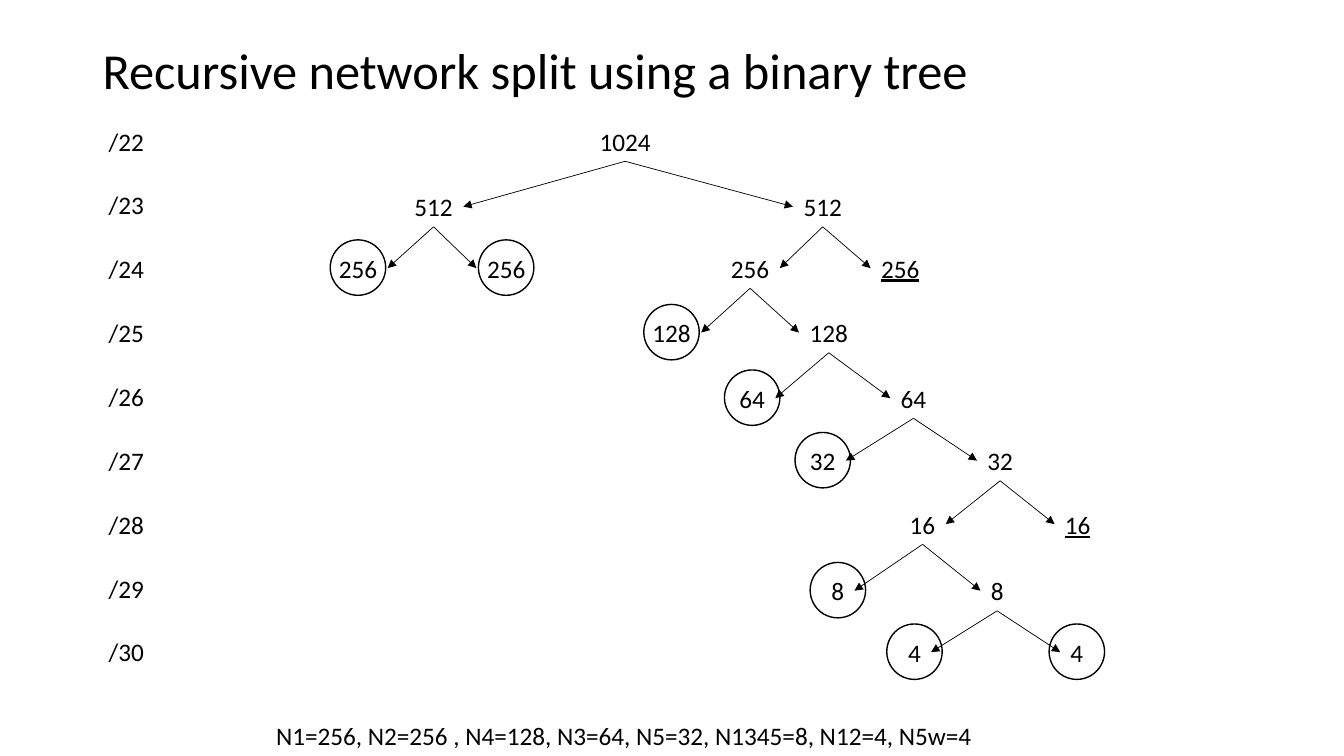
import pptx
import pptx.util
import pptx.dml.color
import pptx.enum.shapes
import pptx.enum.text
from lxml import etree
from pptx.oxml.ns import qn

Inches, Pt = pptx.util.Inches, pptx.util.Pt
COLORS = {"ink": "000000", "paper": "FFFFFF"}
FONT = "Calibri"
ROW_TOPS = [0, 0.65, 1.26, 1.9, 2.55, 3.17, 3.8, 4.46, 5.07]
LABEL_H, CIRCLE = 0.4, 0.55

# Each node: hosts, centre x within the tree box, mark, children
TREE = ("1024", 3.0, "", [
    ("512", 1.1, "", [("256", 0.35, "circle", []), ("256", 1.82, "circle", [])]),
    ("512", 4.96, "", [
        ("256", 4.24, "", [
            ("128", 3.46, "circle", []),
            ("128", 5.02, "", [
                ("64", 4.26, "circle", []),
                ("64", 5.86, "", [
                    ("32", 4.96, "circle", []),
                    ("32", 6.72, "", [
                        ("16", 5.95, "", [
                            ("8", 5.11, "circle", []),
                            ("8", 6.69, "", [
                                ("4", 5.87, "circle", []),
                                ("4", 7.48, "circle", [])])]),
                        ("16", 7.49, "underline", [])])])])]),
        ("256", 5.73, "underline", [])])])


def rgb(name):
    return pptx.dml.color.RGBColor.from_string(COLORS[name])


def add_text(shapes, box, lines, size=18, wrap=False):
    sp = shapes.add_textbox(*[Inches(v) for v in box])
    tf = sp.text_frame
    tf.word_wrap = wrap
    tf.text = "\n".join(lines)
    for p in tf.paragraphs:
        p.font.size, p.font.name = Pt(size), FONT
        p.font.color.rgb = rgb("ink")
    return sp


def add_title(s, box, text):
    tf = add_text(s.shapes, box, [text], 36, True).text_frame
    tf.vertical_anchor = pptx.enum.text.MSO_ANCHOR.MIDDLE
    tf.paragraphs[0].line_spacing = 0.9


def add_prefixes(s, box):
    sp = add_text(s.shapes, box, [f"/{n}" for n in range(22, 31)])
    for p in sp.text_frame.paragraphs:
        p.space_after = Pt(24)


def add_arrow(s, parent, child, side):
    c = s.shapes.add_connector(pptx.enum.shapes.MSO_CONNECTOR.STRAIGHT, 0, 0, 0, 0)
    c.begin_connect(parent, 2)
    c.end_connect(child, side)
    c.line.color.rgb = rgb("ink")
    c.line.width = Pt(0.5)
    etree.SubElement(c.line._get_or_add_ln(), qn("a:tailEnd"), type="triangle")
    etree.SubElement(c._element.spPr, qn("a:effectLst"))


def add_circle(shapes, cx, top):
    sp = shapes.add_shape(pptx.enum.shapes.MSO_SHAPE.OVAL, Inches(cx - CIRCLE / 2),
                          Inches(top), Inches(CIRCLE), Inches(CIRCLE))
    sp.shadow.inherit = False
    sp.fill.background()
    sp.line.color.rgb = rgb("ink")
    sp.line.width = Pt(1)


def add_node(s, box, node, depth=0):
    """Draw a node and everything below it; return its label."""
    hosts, x, mark, children = node
    left, top = box
    cx, y = left + x, top + ROW_TOPS[depth]
    width = 0.2 + 0.13 * len(hosts)
    shapes = s.shapes.add_group_shape().shapes if mark == "circle" else s.shapes
    label = add_text(shapes, (cx - width / 2, y, width, LABEL_H), [hosts])
    p = label.text_frame.paragraphs[0]
    p.alignment = pptx.enum.text.PP_ALIGN.CENTER
    if mark == "underline":
        p.runs[0].font.underline = True
    if mark == "circle":
        add_circle(shapes, cx, y - 0.08)
    # The left child is met on its right side, the right child on its left
    for child, side in zip(children, (3, 1)):
        add_arrow(s, label, add_node(s, box, child, depth + 1), side)
    return label


def main():
    prs = pptx.Presentation()
    prs.slide_width, prs.slide_height = Inches(13.33), Inches(7.5)
    s = prs.slides.add_slide(prs.slide_layouts[6])
    s.background.fill.solid()
    s.background.fill.fore_color.rgb = rgb("paper")
    add_title(s, (0.92, 0, 11.5, 1.45), "Recursive network split using a binary tree")
    add_prefixes(s, (0.98, 1.2, 0.56, 5.52))
    add_node(s, (3.2, 1.2), TREE)
    # Allocation summary
    add_text(s.shapes, (2.64, 7.1, 7.18, LABEL_H),
             ["N1=256, N2=256 , N4=128, N3=64, N5=32, N1345=8, N12=4, N5w=4"])
    prs.save("out.pptx")


if __name__ == "__main__":
    main()
